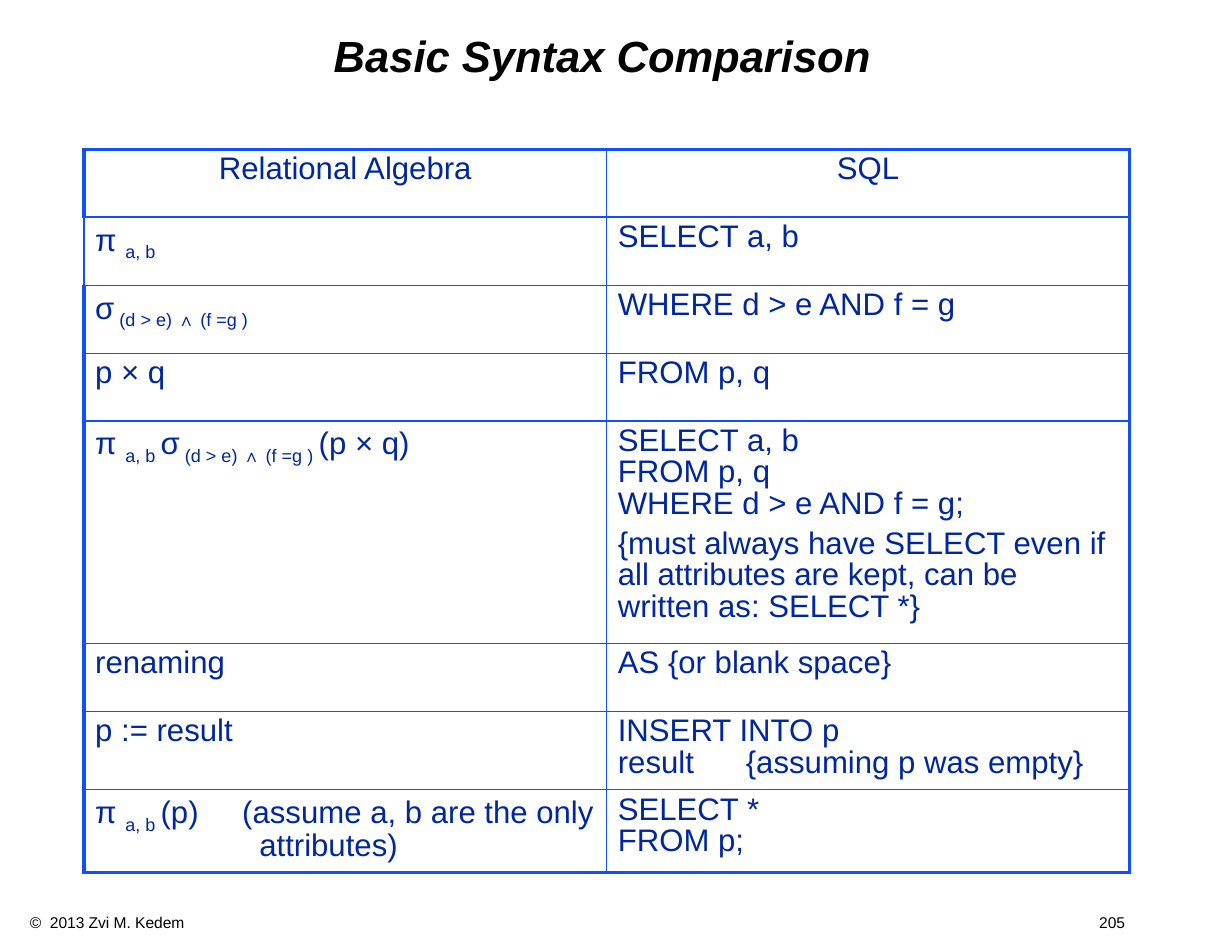
from dataclasses import dataclass
from typing import Any

from pptx import Presentation
from pptx import util as u
from pptx.dml.color import RGBColor
from pptx.enum import text
from pptx.oxml import ns, xmlchemy

ROWS = [
    ("Relational Algebra", "SQL"),
    ("π |a, b", "SELECT a, b"),
    ("σ| (d > e) ∧ (f =g )", "WHERE d > e AND f = g"),
    ("p × q", "FROM p, q"),
    ("π |a, b |σ| (d > e) ∧ (f =g ) |(p × q)",
     "SELECT a, b\nFROM p, q\nWHERE d > e AND f = g;\r"
     "{must always have SELECT even if all attributes are kept, can be written as: SELECT *}"),
    ("renaming", "AS {or blank space}"),
    ("p := result", "INSERT INTO p\nresult\t{assuming p was empty}"),
    ("π |a, b |(p)\t(assume a, b are the only\n\t\tattributes)", "SELECT *\nFROM p;"),
]
ROW_HEIGHTS = [43.7] * 4 + [133.7, 43.7, 47.6, 50.1]
TABS = {(6, 1): [(82.3, "l")], (7, 0): [(94.5, "l"), (105.5, "l")]}


def color(value):
    return RGBColor.from_string(value)


def add_element(parent, tag, **attributes):
    element = xmlchemy.OxmlElement(tag)
    for name, value in attributes.items():
        element.set(name, str(value))
    parent.append(element)
    return element


def write(frame, content, size=20, ink="00279F", font="Arial", align=text.PP_ALIGN.LEFT,
          bold=False, italic=False, spacing=0.9, gap=6, tabs=()):
    for index, block in enumerate(content.split("\r")):
        paragraph = frame.add_paragraph() if index else frame.paragraphs[0]
        paragraph.alignment = align
        paragraph.line_spacing = spacing
        paragraph.space_before = u.Pt(gap if index else 0)
        if tabs:
            stops = add_element(paragraph._p.get_or_add_pPr(), "a:tabLst")
            for position, side in tabs:
                add_element(stops, "a:tab", pos=int(u.Pt(position)), algn=side)
        for part_index, part in enumerate(block.split("|")):
            for line_index, line in enumerate(part.split("\n")):
                if line_index:
                    paragraph.add_line_break()
                run = paragraph.add_run()
                run.text = line
                run.font.name = font
                run.font.size = u.Pt(size)
                run.font.bold = bold
                run.font.italic = italic
                run.font.color.rgb = color(ink)
                if part_index % 2:
                    run.font._element.set("baseline", "-25000")


@dataclass
class SlideBuilder:
    slide: Any
    black: str = "000000"
    border: str = "114FFB"

    def title(self, content, left, top, width, height):
        shape = self.slide.shapes.title
        shape.left, shape.top = u.Pt(left), u.Pt(top)
        shape.width, shape.height = u.Pt(width), u.Pt(height)
        frame = shape.text_frame
        frame.word_wrap = True
        frame.auto_size = text.MSO_AUTO_SIZE.NONE
        frame.vertical_anchor = text.MSO_ANCHOR.TOP
        frame.margin_left = frame.margin_right = u.Pt(8)
        frame.margin_top = frame.margin_bottom = u.Pt(4.3)
        write(frame, content, size=28, ink=self.black, bold=True, italic=True,
              align=text.PP_ALIGN.CENTER)

    def footer(self, content, left, top, width, height, tab):
        box = self.slide.shapes.add_textbox(u.Pt(left), u.Pt(top), u.Pt(width), u.Pt(height))
        box.text_frame.word_wrap = True
        write(box.text_frame, content, size=10, ink=self.black, spacing=1.0, tabs=[(tab, "r")])

    def edges(self, cell, widths):
        properties = cell._tc.get_or_add_tcPr()
        cell.fill.background()
        fill = properties.find(ns.qn("a:noFill"))
        properties.remove(fill)
        for side, width in zip("LRTB", widths):
            line = add_element(properties, f"a:ln{side}", w=int(u.Pt(width)))
            add_element(add_element(line, "a:solidFill"), "a:srgbClr", val=self.border)
        properties.append(fill)

    def table(self, rows, heights, left, top, width):
        shape = self.slide.shapes.add_table(len(rows), len(rows[0]), u.Pt(left), u.Pt(top),
                                            u.Pt(width), u.Pt(sum(heights)))
        table = shape.table
        table.first_row = table.horz_banding = False
        last = len(rows) - 1
        for row, (entries, height) in enumerate(zip(rows, heights)):
            table.rows[row].height = u.Pt(height)
            for column, entry in enumerate(entries):
                cell = table.cell(row, column)
                align = text.PP_ALIGN.LEFT if row else text.PP_ALIGN.CENTER
                write(cell.text_frame, entry, align=align, tabs=TABS.get((row, column), ()))
                outer = 1.5 if row == 1 and column == 0 else 2.25
                self.edges(cell, (
                    1 if column else outer,
                    2.25 if column else 1,
                    {0: 2.25, 1: 1.5}.get(row, 1),
                    {0: 1.5, last: 2.25}.get(row, 1),
                ))


def main():
    presentation = Presentation()
    presentation.slide_width, presentation.slide_height = u.Pt(792), u.Pt(612)
    slide = presentation.slides.add_slide(presentation.slide_layouts[5])
    builder = SlideBuilder(slide)
    builder.footer("©  2013 Zvi M. Kedem\t205", 12.2, 583.2, 744.5, 19.4, 704)
    builder.title("Basic Syntax Comparison", 54, 18, 666, 66)
    builder.table(ROWS, ROW_HEIGHTS, 54, 96, 672)
    presentation.save("out.pptx")


if __name__ == "__main__":
    main()
